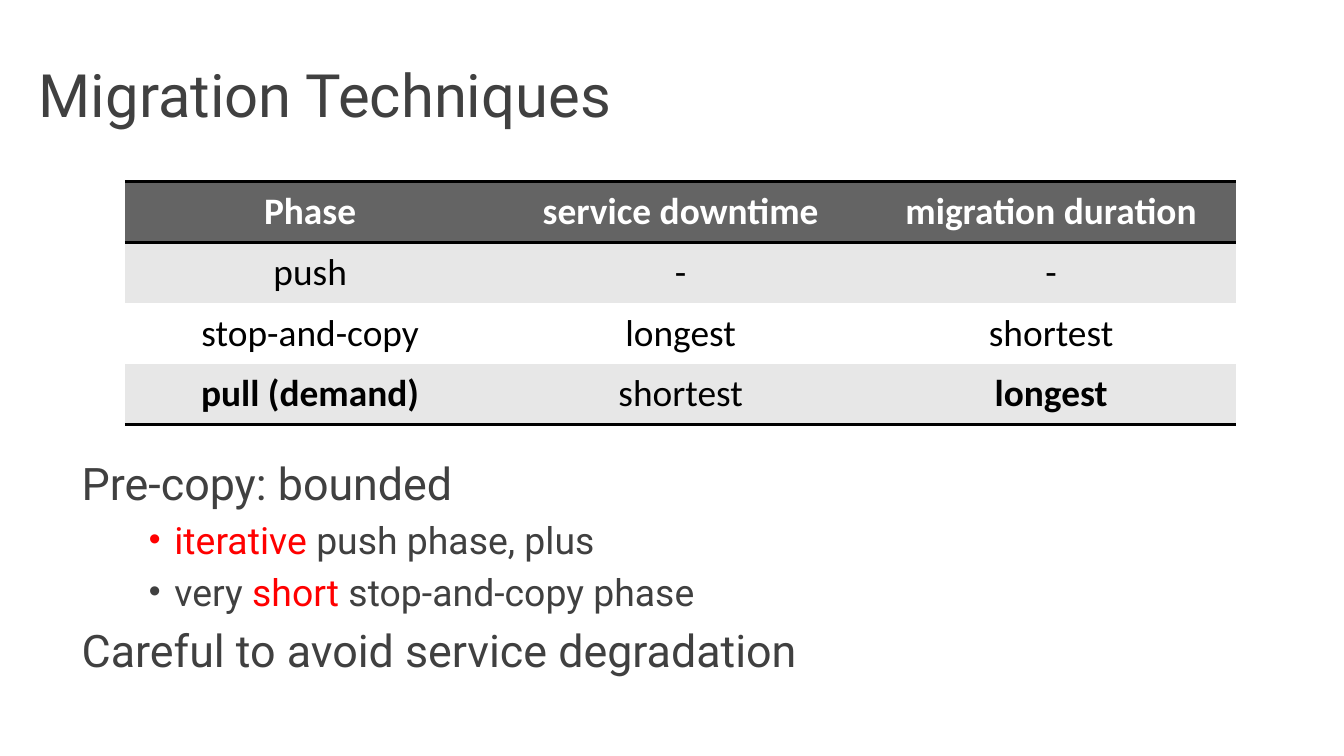
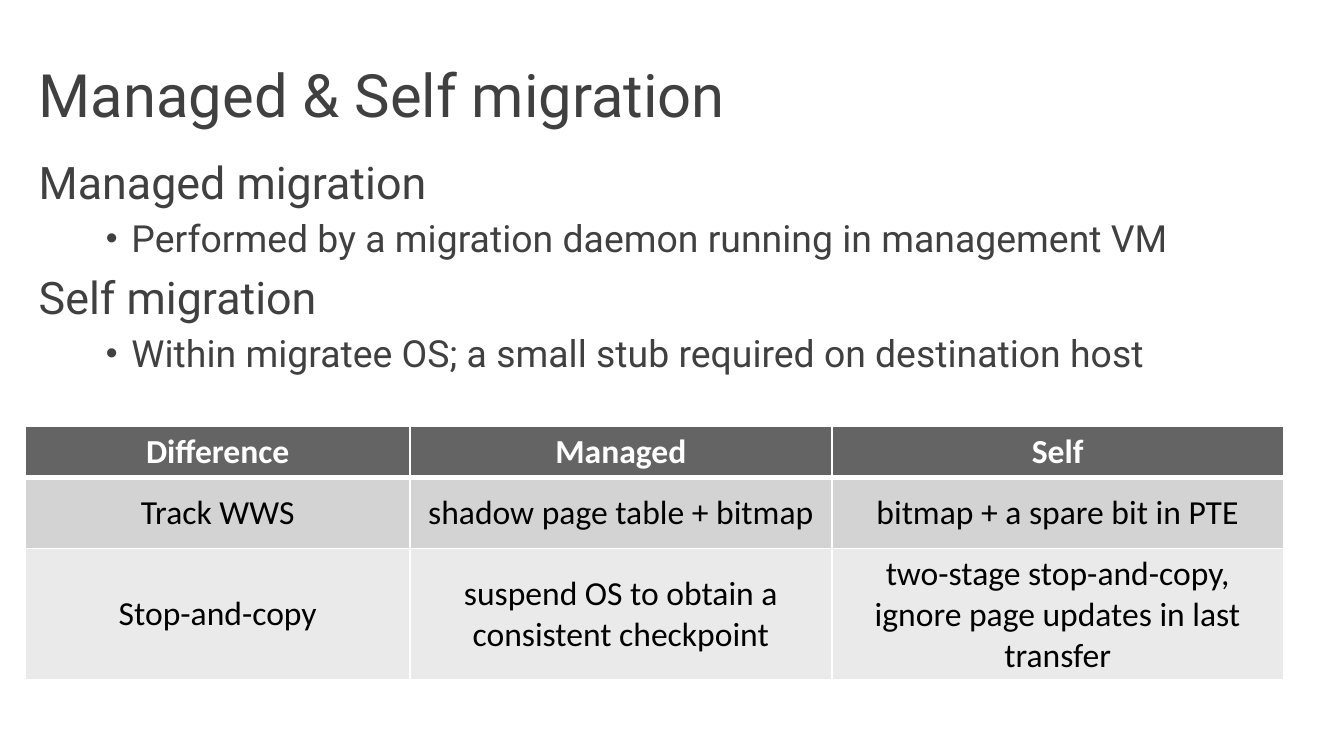
from dataclasses import dataclass

from lxml import etree
from pptx import Presentation
from pptx import util as u
from pptx.dml.color import RGBColor
from pptx.enum import text
from pptx.oxml import ns


@dataclass(frozen=True)
class Theme:
    ink: str = "404040"
    accent: str = "FF0000"
    black: str = "000000"
    white: str = "FFFFFF"
    header: str = "646464"
    body_font: str = "Roboto"
    table_font: str = "Calibri"
    bullet_font: str = "Arial"
    title: int = 32
    level_sizes: tuple = (24, 20)
    space_ratio: float = 0.2


T = Theme()
TITLE_BOX = (0.19, 0.23, 9.68, 0.94)

SLIDES = [
    {
        "title": "Migration Techniques",
        "body_box": (0.51, 3.34, 9.1, 2.03),
        "body": [
            (0, ["Pre-copy: bounded"]),
            (1, [("iterative ", T.accent), "push phase, plus"]),
            (1, ["very ", ("short ", T.accent), "stop-and-copy phase"]),
            (0, ["Careful to avoid service degradation"]),
        ],
        "table": {
            "box": (0.93, 1.35, 8.27, 1.81),
            "cols": [8.27 / 3] * 3,
            "rows": [1.81 / 4] * 4,
            "size": 20,
            "bands": ["E7E7E7", "FFFFFF"],
            "h_lines": [(T.black, 2), (T.black, 2), None, None, (T.black, 2)],
            "v_line": None,
            "bold": {(3, 0), (3, 2)},
            "cells": [
                ["Phase", "service downtime", "migration duration"],
                ["push", "-", "-"],
                ["stop-and-copy", "longest", "shortest"],
                ["pull (demand)", "shortest", "longest"],
            ],
        },
    },
    {
        "title": "Managed & Self migration",
        "body_box": (0.19, 1.1, 9.36, 1.87),
        "body": [
            (0, ["Managed migration"]),
            (1, ["Performed by a migration daemon running in management VM"]),
            (0, ["Self migration"]),
            (1, ["Within migratee OS; a small stub required on destination host"]),
        ],
        "table": {
            "box": (0.19, 3.17, 9.36, 2.02),
            "cols": [2.86, 3.14, 3.36],
            "rows": [0.31, 0.53, 0.76],
            "size": 18,
            "bands": ["D3D3D3", "EAEAEA"],
            "h_lines": [(T.white, 1), (T.white, 3), (T.white, 1), (T.white, 1)],
            "v_line": (T.white, 1),
            "bold": set(),
            "cells": [
                ["Difference", "Managed", "Self"],
                ["Track WWS", "shadow page table + bitmap", "bitmap + a spare bit in PTE"],
                [
                    "Stop-and-copy",
                    "suspend OS to obtain a consistent checkpoint",
                    "two-stage stop-and-copy, ignore page updates in last transfer",
                ],
            ],
        },
    },
]


def add_run(p, content, size=24, color=T.ink, font=T.body_font, bold=False):
    r = p.add_run()
    r.text = content
    r.font.size = u.Pt(size)
    r.font.name = font
    r.font.bold = bold
    r.font.color.rgb = RGBColor.from_string(color)


def add_box(s, box, anchor):
    tf = s.shapes.add_textbox(*map(u.Inches, box)).text_frame
    tf.word_wrap = True
    tf.vertical_anchor = anchor
    return tf


def add_bullet(p):
    pPr = p._p.get_or_add_pPr()
    pPr.set("marL", str(u.Inches(0.69)))
    pPr.set("indent", str(u.Inches(-0.19)))
    pPr.set("lvl", "1")
    etree.SubElement(pPr, ns.qn("a:buSzPct"), val="90000")
    etree.SubElement(pPr, ns.qn("a:buFont"), typeface=T.bullet_font)
    etree.SubElement(pPr, ns.qn("a:buChar"), char="•")


def add_body(s, box, items):
    tf = add_box(s, box, text.MSO_ANCHOR.TOP)
    for i, (level, runs) in enumerate(items):
        p = tf.add_paragraph() if i else tf.paragraphs[0]
        size = T.level_sizes[level]
        if level:
            add_bullet(p)
        if i:
            p.space_before = u.Pt(size * T.space_ratio)
        for run in runs:
            content, color = (run, T.ink) if isinstance(run, str) else run
            add_run(p, content, size=size, color=color)


def set_borders(cell, **sides):
    tcPr = cell._tc.get_or_add_tcPr()
    for i, side in enumerate("LRTB"):
        line = sides[side]
        ln = etree.Element(ns.qn("a:ln" + side))
        if line:
            color, width = line
            ln.set("w", str(u.Pt(width)))
            fill = etree.SubElement(ln, ns.qn("a:solidFill"))
            etree.SubElement(fill, ns.qn("a:srgbClr"), val=color)
        else:
            etree.SubElement(ln, ns.qn("a:noFill"))
        tcPr.insert(i, ln)


def add_table(s, data):
    cols, rows = data["cols"], data["rows"]
    box = [u.Inches(v) for v in data["box"]]
    frame = s.shapes.add_table(len(rows), len(cols), *box)
    table = frame.table
    table.first_row = table.horz_banding = False
    for col, width in zip(table.columns, cols):
        col.width = u.Inches(width)
    for i, height in enumerate(rows):
        table.rows[i].height = u.Inches(height)
        header = i == 0
        fill = T.header if header else data["bands"][(i - 1) % 2]
        for j, content in enumerate(data["cells"][i]):
            cell = table.cell(i, j)
            cell.margin_left = cell.margin_right = u.Inches(0.07)
            cell.margin_top = cell.margin_bottom = u.Inches(0.04)
            cell.vertical_anchor = text.MSO_ANCHOR.MIDDLE
            cell.fill.solid()
            cell.fill.fore_color.rgb = RGBColor.from_string(fill)
            p = cell.text_frame.paragraphs[0]
            p.alignment = text.PP_ALIGN.CENTER
            add_run(p, content, size=data["size"], font=T.table_font,
                    color=T.white if header else T.black,
                    bold=header or (i, j) in data["bold"])
            set_borders(cell, L=data["v_line"], R=data["v_line"],
                        T=data["h_lines"][i], B=data["h_lines"][i + 1])
    frame.width, frame.height = box[2:]


def main():
    prs = Presentation()
    prs.slide_width = u.Inches(10)
    prs.slide_height = prs.slide_width * 9 // 16
    for content in SLIDES:
        s = prs.slides.add_slide(prs.slide_layouts[6])
        tf = add_box(s, TITLE_BOX, text.MSO_ANCHOR.MIDDLE)
        add_run(tf.paragraphs[0], content["title"], size=T.title)
        add_body(s, content["body_box"], content["body"])
        add_table(s, content["table"])
    prs.save("out.pptx")


if __name__ == "__main__":
    main()
